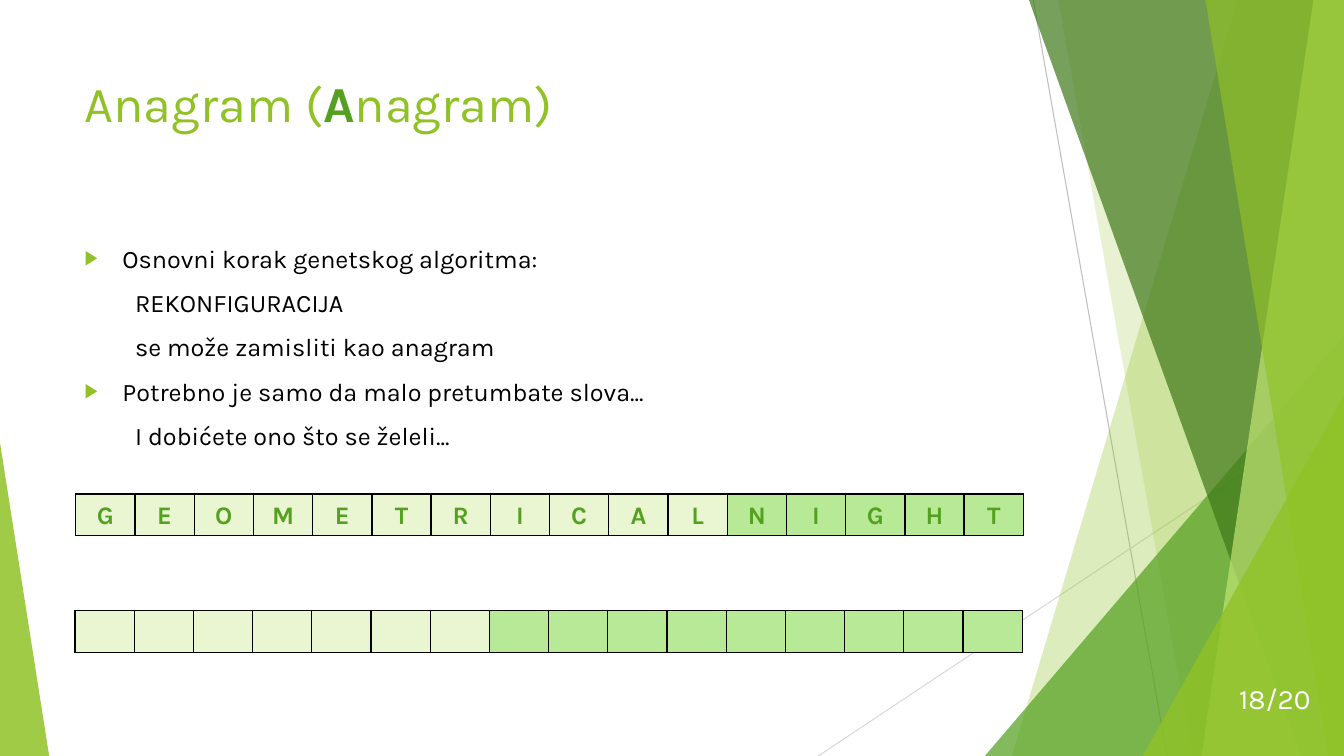
import pptx
import pptx.util
import pptx.dml.color
import pptx.enum.shapes
import pptx.enum.text
import pptx.oxml
import pptx.oxml.ns
import lxml.etree

Cm = pptx.util.Cm
Pt = pptx.util.Pt
RGB = pptx.dml.color.RGBColor
ALIGN = pptx.enum.text.PP_ALIGN
ANCHOR = pptx.enum.text.MSO_ANCHOR
FORM = pptx.enum.shapes.MSO_SHAPE
qn = pptx.oxml.ns.qn

LIME = RGB(0x90, 0xC2, 0x26)
GREEN = RGB(0x54, 0xA0, 0x21)
DARK = RGB(0x3F, 0x78, 0x19)
PALE = RGB(0xC0, 0xE4, 0x74)
CREAM = RGB(0xEA, 0xF6, 0xD1)
MINT = RGB(0xB7, 0xE9, 0x96)
GREY = RGB(0xBF, 0xBF, 0xBF)
SILVER = RGB(0xD9, 0xD9, 0xD9)
BLACK = RGB(0, 0, 0)
WHITE = RGB(0xFF, 0xFF, 0xFF)

FONT = "Karla"
WIDTH, HEIGHT = 33.87, 19.05

TITLE = [("Anagram (", LIME, False), ("A", GREEN, True), ("nagram)", LIME, False)]
BODY = [
    ("Osnovni korak genetskog algoritma:", True),
    ("REKONFIGURACIJA", False),
    ("se može zamisliti kao anagram", False),
    ("Potrebno je samo da malo pretumbate slova...", True),
    ("I dobićete ono što se želeli...", False),
]
WORD = "GEOMETRICALNIGHT"
TILES = {"left": 1.91, "top": 12.45, "split": 11}
BLANKS = {"left": 1.89, "top": 15.39, "split": 7}
COUNT = len(WORD)
SPAN, TALL = 23.88, 1.05
STEP = SPAN / COUNT
PAGE = "18/20"

RAYS = [
    ((26.04, 0), (29.41, HEIGHT), GREY),
    ((WIDTH, 10.24), (20.62, HEIGHT), SILVER),
]
FACETS = [
    ("band", (31.19, 25.5), LIME, 30),
    ("band", (26.67, 30.05), LIME, 20),
    ("peak", (24.82, 8.46, 9.05, 1), GREEN, 72),
    ("band", (25.93, 32.79), DARK, 70),
    ("band", (33.1, 30.28), PALE, 70),
    ("band", (30.38, 33.48), LIME, 65),
    ("peak", (28.8, 9.98, 5.07, 1), LIME, 80),
    ("peak", (0, 11.15, 1.24, 0), LIME, 85),
]


def write(para, text, size=18, color=BLACK, bold=False, align=ALIGN.LEFT):
    para.alignment = align
    run = para.add_run()
    run.text = text
    run.font.name = FONT
    run.font.size = Pt(size)
    run.font.bold = bold
    run.font.color.rgb = color


def add(parent, tag, **attrs):
    node = lxml.etree.SubElement(parent, qn(tag))
    for key, value in attrs.items():
        node.set(key, str(value))
    return node


def place(shape, left, top, width, height):
    shape.left, shape.top = Cm(left), Cm(top)
    shape.width, shape.height = Cm(width), Cm(height)
    shape.text_frame.vertical_anchor = ANCHOR.TOP
    shape.text_frame.auto_size = pptx.enum.text.MSO_AUTO_SIZE.NONE
    tree = shape.element.getparent()
    tree.append(shape.element)


def ray(shapes, start, end, color, weight=0.75):
    line = shapes.add_connector(
        pptx.enum.shapes.MSO_CONNECTOR.STRAIGHT, *map(Cm, start + end))
    line.line.color.rgb = color
    line.line.width = Pt(weight)
    add(line.element.spPr, "a:effectLst")


def paint(shape, color):
    shape.shadow.inherit = False
    shape.fill.solid()
    shape.fill.fore_color.rgb = color
    shape.line.fill.background()


def facet(shapes, kind, spot, color, alpha):
    if kind == "band":
        high, low = spot
        path = shapes.build_freeform(Cm(high), 0)
        path.add_line_segments([
            (Cm(WIDTH), 0), (Cm(WIDTH), Cm(HEIGHT)), (Cm(low), Cm(HEIGHT))])
        shape = path.convert_to_shape()
    else:
        left, top, width, apex = spot
        shape = shapes.add_shape(
            FORM.ISOSCELES_TRIANGLE,
            Cm(left), Cm(top), Cm(width), Cm(HEIGHT - top))
        shape.adjustments[0] = apex
    paint(shape, color)
    tint = shape.element.spPr.find(".//" + qn("a:srgbClr"))
    add(tint, "a:alpha", val=alpha * 1000)


def bullet(para, marked):
    props = para._p.get_or_add_pPr()
    if not marked:
        props.set("marL", str(Cm(1.27)))
        props.set("indent", "0")
        add(props, "a:buNone")
        return
    props.set("marL", str(Cm(0.95)))
    props.set("indent", str(-Cm(0.95)))
    add(add(props, "a:buClr"), "a:srgbClr", val=LIME)
    add(props, "a:buSzPct", val=80000)
    add(props, "a:buFont", typeface=FONT)
    add(props, "a:buChar", char="▶")


def blanks(shapes, left, top, split):
    table = shapes.add_table(
        1, COUNT, Cm(left), Cm(top), Cm(SPAN), Cm(TALL)).table
    table.first_row = table.horz_banding = False
    for i in range(COUNT):
        table.columns[i].width = Cm(STEP)
        cell = table.cell(0, i)
        cell.margin_top = cell.margin_bottom = 0
        props = cell._tc.get_or_add_tcPr()
        for side in "LRTB":
            edge = add(props, "a:ln" + side, w=Pt(1))
            add(add(edge, "a:solidFill"), "a:srgbClr", val=BLACK)
        cell.fill.solid()
        cell.fill.fore_color.rgb = CREAM if i < split else MINT


def tiles(shapes, left, top, split):
    for i in range(COUNT):
        tile = shapes.add_shape(
            FORM.RECTANGLE, Cm(left + i * STEP), Cm(top), Cm(STEP), Cm(TALL))
        paint(tile, CREAM if i < split else MINT)
    for i in range(COUNT + 1):
        x = left + i * STEP
        ray(shapes, (x, top), (x, top + TALL), BLACK, 1)
    for y in (top, top + TALL):
        ray(shapes, (left - 0.02, y), (left + SPAN + 0.02, y), BLACK, 1)
    for i, letter in enumerate(WORD):
        x = left + i * STEP + (STEP - 0.7) / 2
        frame = shapes.add_textbox(
            Cm(x), Cm(top + 0.13), Cm(0.7), Cm(0.97)).text_frame
        frame.word_wrap = False
        frame.margin_left = frame.margin_right = 0
        frame.margin_top = frame.margin_bottom = 0
        write(frame.paragraphs[0], letter,
              color=GREEN, bold=True, align=ALIGN.CENTER)


def main():
    deck = pptx.Presentation()
    deck.slide_width, deck.slide_height = Cm(WIDTH), Cm(HEIGHT)
    slide = deck.slides.add_slide(deck.slide_layouts[1])
    shapes = slide.shapes

    for item in RAYS:
        ray(shapes, *item)
    for item in FACETS:
        facet(shapes, *item)

    title, body = shapes.title, slide.placeholders[1]
    place(title, 1.88, 1.7, 23.88, 3.66)
    for text, color, bold in TITLE:
        write(title.text_frame.paragraphs[0], text, size=36, color=color, bold=bold)

    place(body, 1.88, 6, 23.88, 10.77)
    frame = body.text_frame
    for i, (text, marked) in enumerate(BODY):
        para = frame.add_paragraph() if i else frame.paragraphs[0]
        para.space_before = Pt(10)
        bullet(para, marked)
        write(para, text)

    blanks(shapes, **BLANKS)
    tiles(shapes, **TILES)

    page = shapes.add_textbox(Cm(30.56), Cm(16.79), Cm(2.72), Cm(1.6)).text_frame
    page.word_wrap = True
    page.vertical_anchor = ANCHOR.MIDDLE
    write(page.paragraphs[0], PAGE, size=20, color=WHITE, align=ALIGN.RIGHT)

    deck.save("out.pptx")


if __name__ == "__main__":
    main()
